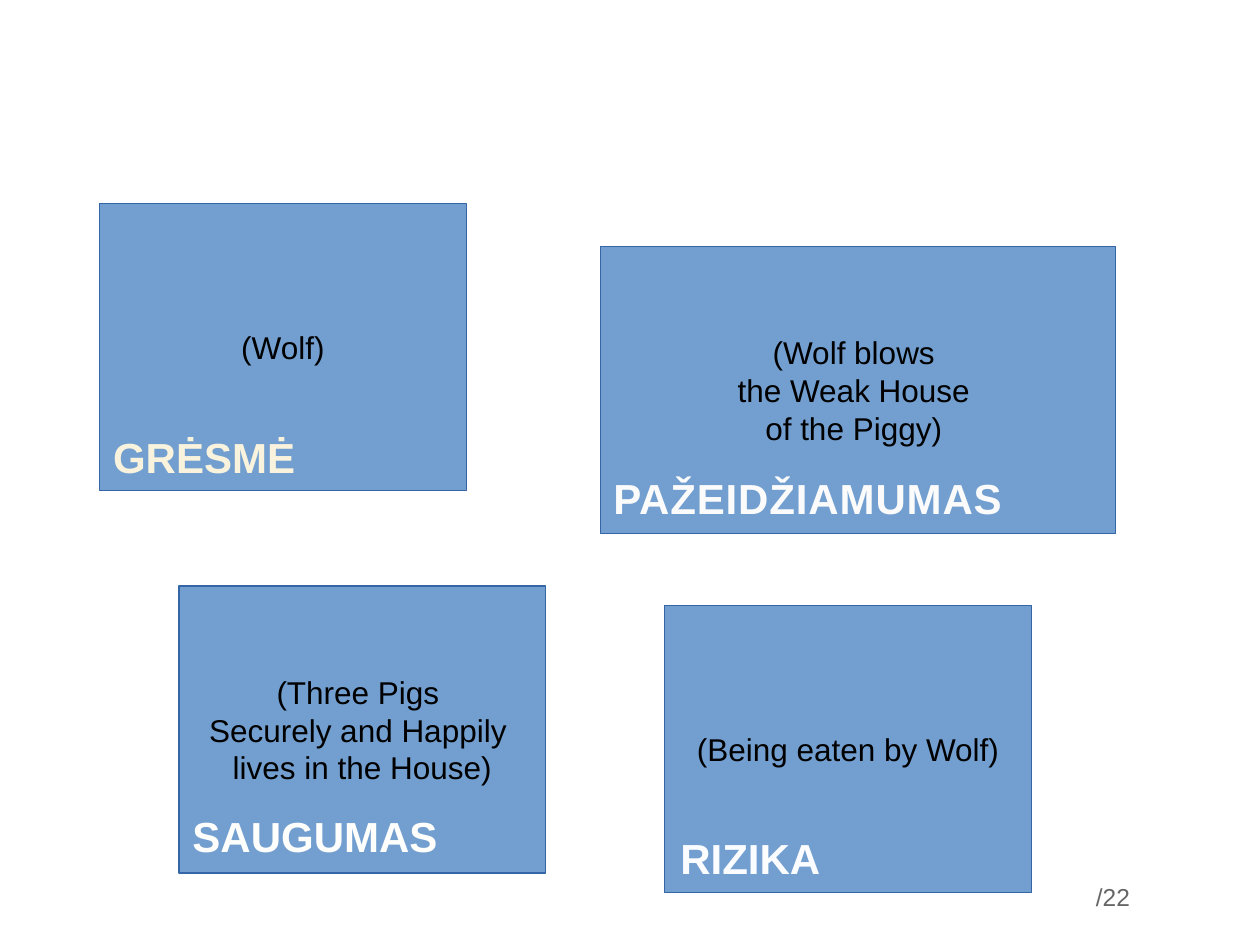
"""Build a slide of four security terms, each illustrated by the tale of the three pigs."""
import pptx
import pptx.dml.color
import pptx.enum.shapes
import pptx.enum.text
import pptx.util

presentation = pptx.Presentation()
presentation.slide_width = pptx.util.Inches(10)
presentation.slide_height = pptx.util.Inches(7.5)
column = presentation.slide_width / 100
row = presentation.slide_height / 100
slide = presentation.slides.add_slide(presentation.slide_layouts[6])


def color(value):
    """Turn a hex string into a colour."""
    return pptx.dml.color.RGBColor.from_string(value)


def write(shape, lines, size, value, bold=False, centered=True, wrap=False):
    """Fill a shape with one paragraph per line."""
    frame = shape.text_frame
    frame.word_wrap = wrap
    frame.text = "\n".join(lines)
    for paragraph in frame.paragraphs:
        if centered:
            paragraph.alignment = pptx.enum.text.PP_ALIGN.CENTER
        paragraph.font.name = "Arial"
        paragraph.font.size = pptx.util.Pt(size)
        paragraph.font.bold = bold
        paragraph.font.color.rgb = color(value)


card_height = 30.4
label_height = 6.67
cards = [
    (14.2, 62, 29.1, ["(Three Pigs ", "Securely and Happily ", "lives in the House)"],
     "SAUGUMAS", 14.1, 85.07, 21.8, "FEFEFD"),
    (47.65, 26.05, 40.9, ["(Wolf blows ", "the Weak House ", "of the Piggy) "],
     "PAŽEIDŽIAMUMAS", 47.5, 49.33, 33.2, "FBFBFB"),
    (7.9, 21.5, 29.1, ["(Wolf)"], "GRĖSMĖ", 4.9, 45, 22.6, "F9F3DD"),
    (52.75, 64.05, 29.1, ["(Being eaten by Wolf)"], "RIZIKA", 52.8, 87.47, 13.5, "FBFCFF"),
]
for left, top, width, story, term, label_left, label_top, label_width, label_color in cards:
    card = slide.shapes.add_shape(
        pptx.enum.shapes.MSO_SHAPE.RECTANGLE,
        int(left * column), int(top * row), int(width * column), int(card_height * row))
    card.shadow.inherit = False
    card.fill.solid()
    card.fill.fore_color.rgb = color("729FCF")
    card.line.color.rgb = color("3465A4")
    card.line.width = pptx.util.Pt(0.75)
    card.text_frame.vertical_anchor = pptx.enum.text.MSO_ANCHOR.MIDDLE
    write(card, story, 18, "000000")

    label = slide.shapes.add_textbox(
        int(label_left * column), int(label_top * row),
        int(label_width * column), int(label_height * row))
    write(label, [term], 24, label_color, bold=True)
    label.text_frame.auto_size = pptx.enum.text.MSO_AUTO_SIZE.SHAPE_TO_FIT_TEXT
    if term == "PAŽEIDŽIAMUMAS":
        label.text_frame.paragraphs[0].runs[0].font._element.set("spc", "50")

page_count = slide.shapes.add_textbox(
    int(86 * column), int(92.67 * row), int(10.4 * column), int(5.33 * row))
write(page_count, ["/22"], 14, "666666", centered=False, wrap=True)

presentation.save("out.pptx")
